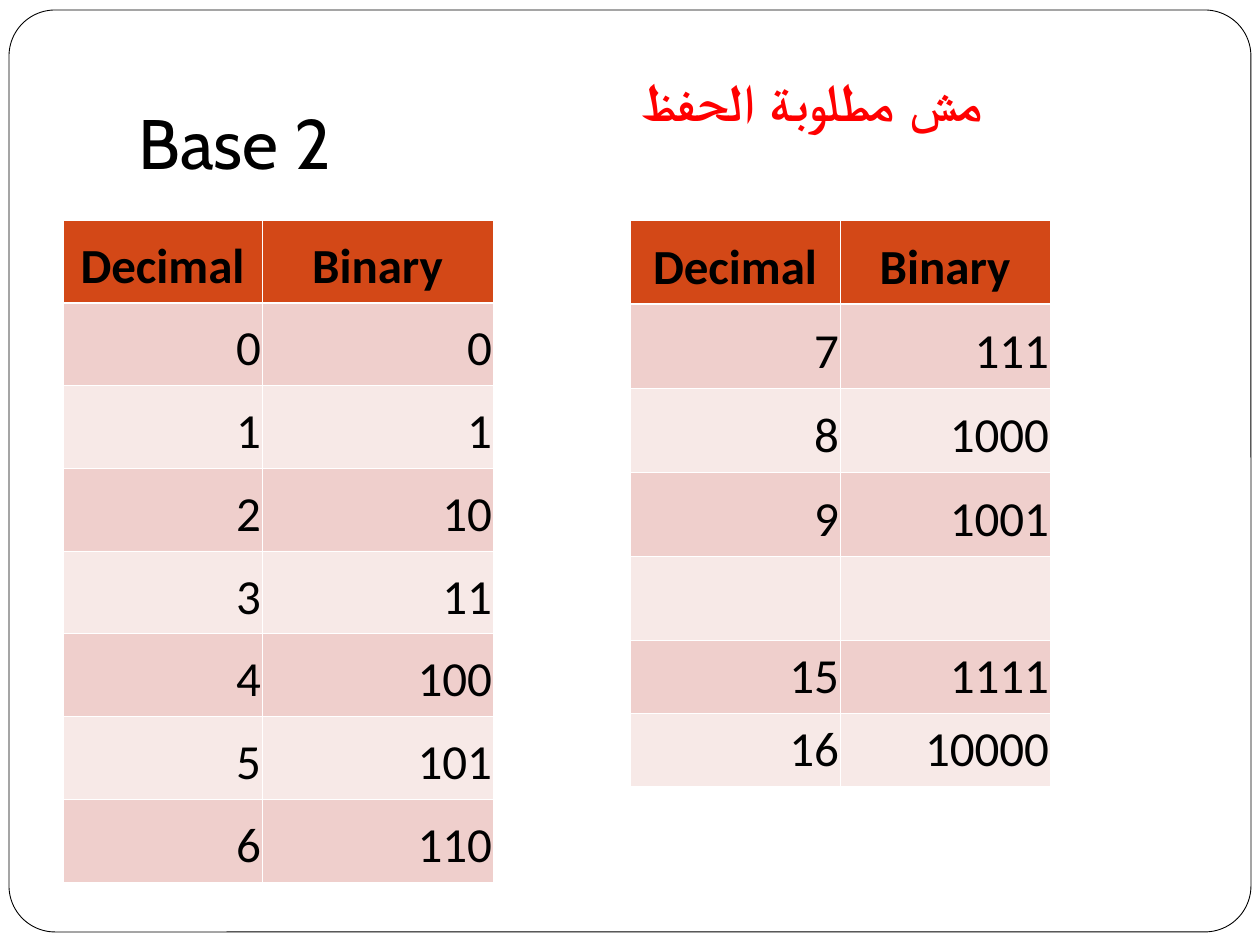
from lxml import etree
from pptx import Presentation
from pptx.dml.color import RGBColor
from pptx.enum.shapes import MSO_SHAPE
from pptx.enum.text import MSO_ANCHOR, PP_ALIGN
from pptx.oxml.ns import qn
from pptx.util import Pt

ROUND = MSO_SHAPE.ROUNDED_RECTANGLE
TOP, BOTTOM = MSO_ANCHOR.TOP, MSO_ANCHOR.BOTTOM
LEFT, CENTER, RIGHT = PP_ALIGN.LEFT, PP_ALIGN.CENTER, PP_ALIGN.RIGHT

WHITE = RGBColor(0xFF, 0xFF, 0xFF)
BLACK = RGBColor(0, 0, 0)
RED = RGBColor(0xFF, 0, 0)
RUST = RGBColor(0xD3, 0x48, 0x17)
ROSE = RGBColor(0xEF, 0xCF, 0xCC)
BLUSH = RGBColor(0xF7, 0xE9, 0xE7)

SCALE = 914400 / 126
THIN, THICK = 0.45, 1.47

TITLE = {"name": "Cabin", "size": Pt(40), "bold": False}
NOTE = {"name": "Arial", "size": Pt(30), "bold": True}
HEAD = {"name": "Calibri", "size": Pt(28), "bold": True}
BODY = {"name": "Calibri", "size": Pt(28), "bold": False}

NAMES = ("Decimal", "Binary")
LOW = [(str(n), f"{n:b}") for n in range(7)]
HIGH = [("", "") if n is None else (str(n), f"{n:b}")
        for n in (7, 8, 9, None, 15, 16)]


def px(n):
    return round(n * SCALE)


def write(frame, text, style, color, align=LEFT):
    para = frame.paragraphs[0]
    para.alignment = align
    run = para.add_run()
    run.text = text
    for key, value in style.items():
        setattr(run.font, key, value)
    run.font.color.rgb = color


def add_frame(slide, box):
    shape = slide.shapes.add_shape(ROUND, *map(px, box))
    shape.adjustments[0] = 0.05
    shape.shadow.inherit = False
    shape.fill.solid()
    shape.fill.fore_color.rgb = WHITE
    shape.line.color.rgb = BLACK
    shape.line.width = Pt(0.5)


def add_label(slide, box, text, style, color, anchor, foot):
    frame = slide.shapes.add_textbox(*map(px, box)).text_frame
    frame.word_wrap = True
    frame.vertical_anchor = anchor
    frame.margin_bottom = px(foot)
    write(frame, text, style, color)


def add_edges(cell, row):
    widths = {
        "a:lnL": THIN,
        "a:lnR": THIN,
        "a:lnT": THICK if row == 1 else THIN,
        "a:lnB": THICK if row == 0 else THIN,
    }
    props = cell._tc.get_or_add_tcPr()
    for tag, width in widths.items():
        line = etree.SubElement(props, qn(tag), w=str(Pt(width)))
        fill = etree.SubElement(line, qn("a:solidFill"))
        etree.SubElement(fill, qn("a:srgbClr"), val=str(WHITE))


def add_grid(slide, left, top, cols, rows, data):
    table = slide.shapes.add_table(
        len(rows), len(cols), px(left), px(top), px(sum(cols)), px(sum(rows))
    ).table
    for col, width in zip(table.columns, cols):
        col.width = px(width)
    for row, height in zip(table.rows, rows):
        row.height = px(height)
    for r, texts in enumerate([NAMES] + data):
        shade = RUST if r == 0 else ROSE if r % 2 else BLUSH
        style, align = (HEAD, CENTER) if r == 0 else (BODY, RIGHT)
        for c, text in enumerate(texts):
            cell = table.cell(r, c)
            cell.margin_left = cell.margin_right = px(1)
            cell.vertical_anchor = BOTTOM
            add_edges(cell, r)
            cell.fill.solid()
            cell.fill.fore_color.rgb = shade
            if text:
                write(cell.text_frame, text, style, BLACK, align)


def main():
    deck = Presentation()
    deck.slide_width, deck.slide_height = px(1260), px(945)
    slide = deck.slides.add_slide(deck.slide_layouts[6])

    # Page frame and title
    add_frame(slide, (9, 10, 1242, 922))
    add_label(slide, (126, 38, 1071, 157), "Base 2", TITLE, BLACK, BOTTOM, 12)

    # Number tables
    add_grid(slide, 63, 220, [199, 231], [662 / 8] * 8, LOW)
    add_grid(slide, 630, 220, [210, 210], [84] * 5 + [73] * 2, HIGH)

    # Red note
    add_label(slide, (630, 63, 396, 139), "مش مطلوبة الحفظ", NOTE, RED, TOP, 6)

    deck.save("out.pptx")


if __name__ == "__main__":
    main()
